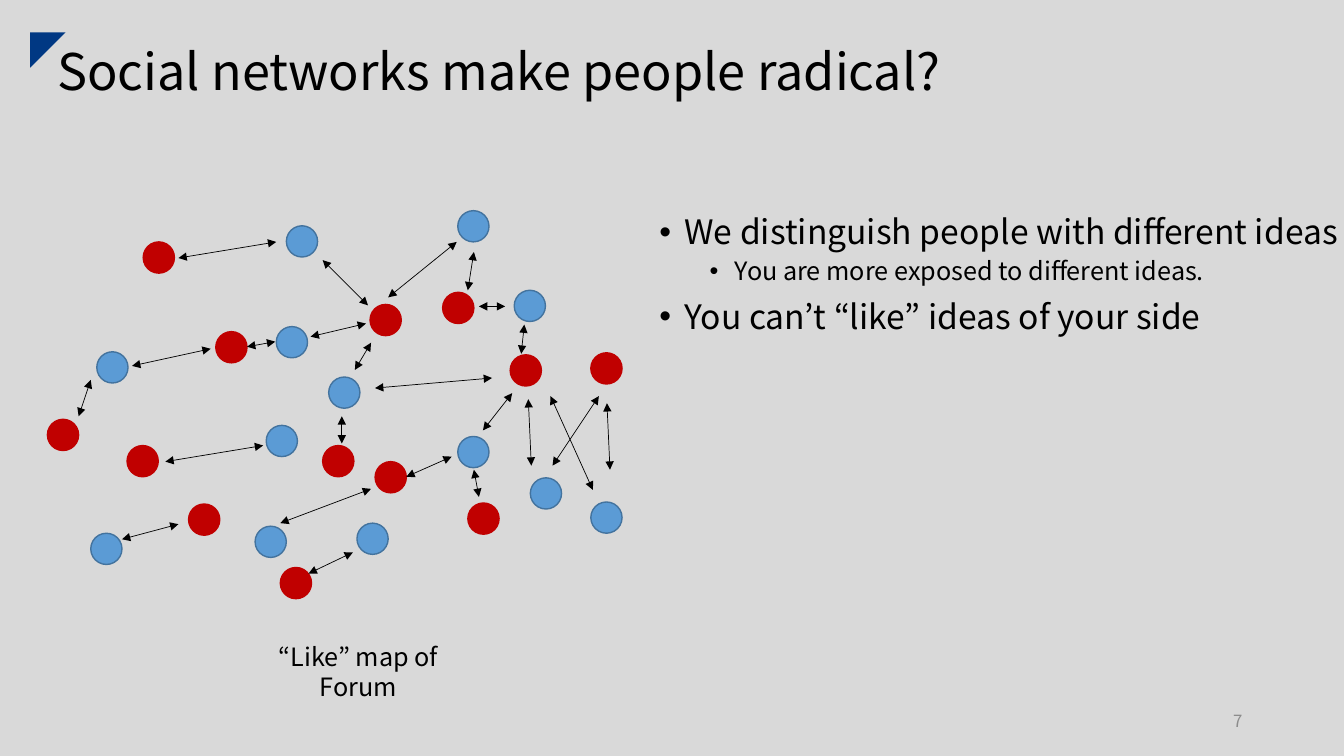
from typing import NamedTuple
from dataclasses import dataclass
from pptx import Presentation
from pptx import util as u
from pptx.dml.color import RGBColor
from pptx.enum import shapes, text
from pptx.oxml import ns
from lxml import etree


@dataclass(frozen=True)
class Theme:
    font: str = "Noto Sans CJK KR"
    back: str = "D9D9D9"
    ink: str = "000000"
    gray: str = "8C8C8C"
    navy: str = "003883"
    blue: str = "5B9BD5"
    rim: str = "43739E"
    red: str = "C00000"
    title: int = 36
    lead: int = 24
    body: int = 18
    small: int = 12


class Box(NamedTuple):
    col: float
    row: float
    wide: float
    high: float


class Spot(NamedTuple):
    col: float
    row: float


class Link(NamedTuple):
    col: float
    row: float
    end_col: float
    end_row: float


class Line(NamedTuple):
    words: str
    size: int
    color: str = "000000"
    align: text.PP_ALIGN = text.PP_ALIGN.LEFT
    space: float = 1.0
    before: int = 0
    indent: float = 0


THEME = Theme()
ROWS = 75
DOT = 3.1
HANG = 2.5

deck = Presentation()
deck.slide_width, deck.slide_height = u.Inches(13.33), u.Inches(7.5)
CELL = deck.slide_height / ROWS
slide = deck.slides.add_slide(deck.slide_layouts[6])
slide.background.fill.solid()
slide.background.fill.fore_color.rgb = RGBColor.from_string(THEME.back)


def grid(*cells: float) -> list[u.Emu]:
    return [u.Emu(round(cell * CELL)) for cell in cells]


def add(node, tag: str, **attrs: str):
    return etree.SubElement(node, ns.qn(tag), attrs)


def write(box: Box, lines: list[Line], anchor=text.MSO_ANCHOR.TOP) -> None:
    frame = slide.shapes.add_textbox(*grid(*box)).text_frame
    frame.word_wrap = True
    frame.vertical_anchor = anchor
    frame.text = "\n".join(line.words for line in lines)
    for para, line in zip(frame.paragraphs, lines):
        para.alignment = line.align
        para.line_spacing = line.space
        para.space_before = u.Pt(line.before)
        if line.indent:
            para.level = int(line.indent > HANG)
            props = para._p.get_or_add_pPr()
            left, hang = grid(line.indent, -HANG)
            props.set("marL", str(left))
            props.set("indent", str(hang))
            add(props, "a:buFont", typeface="Arial")
            add(props, "a:buChar", char="•")
        for run in para.runs:
            run.font.size = u.Pt(line.size)
            run.font.name = THEME.font
            run.font.color.rgb = RGBColor.from_string(line.color)
            add(run._r.get_or_add_rPr(), "a:ea", typeface=THEME.font)


def draw(parent, kind: shapes.MSO_SHAPE, box: Box, fill: str, edge: str = ""):
    shape = parent.add_shape(kind, *grid(*box))
    shape.shadow.inherit = False
    shape.fill.solid()
    shape.fill.fore_color.rgb = RGBColor.from_string(fill)
    if edge:
        shape.line.color.rgb = RGBColor.from_string(edge)
        shape.line.width = u.Pt(1)
    else:
        shape.line.fill.background()
    return shape


def join(parent, link: Link) -> None:
    arrow = parent.add_connector(shapes.MSO_CONNECTOR.STRAIGHT, *grid(*link))
    arrow.line.color.rgb = RGBColor.from_string(THEME.ink)
    arrow.line.width = u.Pt(0.5)
    stroke = arrow.line._get_or_add_ln()
    for end in ("a:headEnd", "a:tailEnd"):
        add(stroke, end, type="triangle")
    add(arrow._element.spPr, "a:effectLst")


BLUES = [
    Spot(51, 28.8), Spot(52.6, 47.4), Spot(45.4, 20.9), Spot(9, 52.9),
    Spot(28.4, 22.4), Spot(45.4, 43.3), Spot(35.4, 51.9), Spot(32.6, 37.4),
    Spot(58.6, 49.8), Spot(25.3, 52.2), Spot(27.4, 32.4), Spot(9.6, 34.9),
    Spot(26.4, 42.2),
]
REDS = [
    Spot(27.8, 56.3), Spot(43.9, 29), Spot(58.6, 35), Spot(46.4, 49.9),
    Spot(37.2, 45.8), Spot(36.7, 30.2), Spot(32, 44.2), Spot(50.6, 35.2),
    Spot(14.2, 24), Spot(18.7, 50), Spot(12.6, 44.2), Spot(4.7, 41.6),
    Spot(21.4, 32.9),
]
LINKS = [
    Link(17.7, 25.6, 27.4, 24), Link(13.1, 36.3, 20.9, 34.6),
    Link(16.4, 45.8, 26.1, 44.2), Link(27.8, 51.9, 36.8, 48.5),
    Link(37.2, 38.5, 48.8, 37.5), Link(35.2, 36.7, 36.8, 34),
    Link(7.8, 41.3, 9, 37.7), Link(38.5, 29.5, 45.3, 24),
    Link(47.5, 30.4, 50.1, 30.4), Link(47.9, 42.7, 50.8, 39),
    Link(47.5, 49.3, 47, 46.6), Link(30.6, 56.9, 35, 54.8),
    Link(33.9, 44, 33.9, 41.3), Link(40.3, 47.3, 44.8, 45.3),
    Link(52.7, 46.2, 52.4, 39.6), Link(60.5, 46.6, 60.2, 40),
    Link(54.8, 46.2, 59.4, 39.3), Link(58.8, 48.6, 54.6, 39.3),
    Link(51.7, 35.1, 52, 32.2), Link(46.4, 28.8, 47, 25),
    Link(36.5, 30.3, 32, 25.8), Link(30.8, 33.4, 36.3, 32.1),
    Link(24.5, 34.4, 27.3, 33.9), Link(12.1, 53.5, 17.7, 52),
]

MID = text.MSO_ANCHOR.MIDDLE
write(Box(4.7, 4.3, 107.7, 6.1),
      [Line("Social networks make people radical?", THEME.title, space=0.9)], MID)
write(Box(94.2, 69.5, 30, 4),
      [Line("7", THEME.small, THEME.gray, text.PP_ALIGN.RIGHT)], MID)
draw(slide.shapes, shapes.MSO_SHAPE.RIGHT_TRIANGLE,
     Box(3, 3.2, 3.5, 3.5), THEME.navy).rotation = 90
write(Box(64.4, 20.9, 72.2, 47.6), [
    Line("We distinguish people with different ideas", THEME.lead,
         space=0.9, before=10, indent=HANG),
    Line("You are more exposed to different ideas.", THEME.body,
         space=0.9, before=5, indent=3 * HANG),
    Line("You can’t “like” ideas of your side", THEME.lead,
         space=0.9, before=10, indent=HANG),
])

web = slide.shapes.add_group_shape().shapes
for spots, fill, edge in ((BLUES, THEME.blue, THEME.rim), (REDS, THEME.red, THEME.red)):
    for spot in spots:
        draw(web, shapes.MSO_SHAPE.OVAL, Box(*spot, DOT, DOT), fill, edge)
for link in LINKS:
    join(web, link)

write(Box(23.3, 63.1, 24.5, 4),
      [Line("“Like” map of Forum", THEME.body, align=text.PP_ALIGN.CENTER)])

deck.save("out.pptx")
